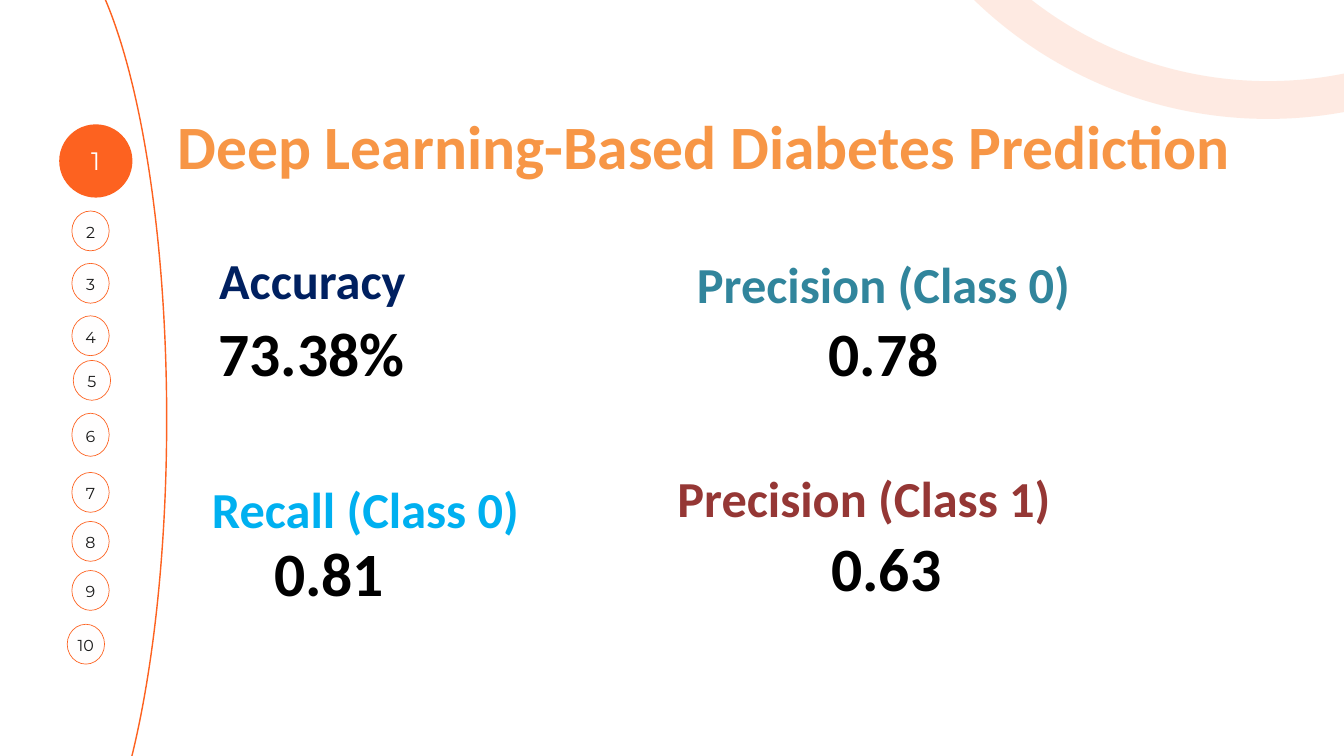
from dataclasses import dataclass

from lxml.etree import SubElement
from pptx import Presentation
from pptx.dml.color import RGBColor as RGB
from pptx.enum.shapes import MSO_SHAPE as SHAPE
from pptx.enum.text import MSO_ANCHOR as ANCHOR, MSO_AUTO_SIZE as AUTO, PP_ALIGN as ALIGN
from pptx.oxml import parse_xml
from pptx.oxml.ns import nsdecls, qn
from pptx.util import Pt


@dataclass(frozen=True)
class Theme:
    accent: str = "FD6220"
    paper: str = "FFFEFE"
    ink: str = "191919"
    title: str = "F79646"
    value: str = "000000"
    value_edge: str = "FFFFFF"
    accuracy: str = "002060"
    recall_0: str = "00B0F0"
    precision_0: str = "31859C"
    precision_1: str = "953735"
    heading_font: str = "Calibri"
    number_font: str = "Montserrat"
    title_size: float = 66
    label_size: float = 54
    value_size: float = 66
    number_size: float = 17
    current_size: float = 27


def write(tf, text, *, font, size, color, bold=False, align=ALIGN.CENTER,
          spacing=None, edge=None):
    """Fill a text frame with one formatted line; edge is the glyph outline colour."""
    p = tf.paragraphs[0]
    p.alignment = align
    if spacing:
        p.line_spacing = Pt(spacing)
    r = p.add_run()
    r.text = text
    r.font.name, r.font.size, r.font.bold = font, Pt(size), bold
    r.font.color.rgb = RGB.from_string(color)
    if edge:
        r.font._element.insert(0, parse_xml(
            f'<a:ln {nsdecls("a")} w="{Pt(0.75)}"><a:solidFill>'
            f'<a:srgbClr val="{edge}"/></a:solidFill></a:ln>'))


class Deck:
    def __init__(self, slide, theme):
        self.s = slide
        self.t = theme

    def oval(self, x, y, w, h, fill=None, line=None):
        """Draw an ellipse; line is its outline width."""
        sp = self.s.shapes.add_shape(SHAPE.OVAL, Pt(x), Pt(y), Pt(w), Pt(h))
        sp.shadow.inherit = False
        if fill:
            sp.fill.solid()
            sp.fill.fore_color.rgb = RGB.from_string(fill)
        else:
            sp.fill.background()
        if line:
            sp.line.width = Pt(line)
            sp.line.color.rgb = RGB.from_string(self.t.accent)
        else:
            sp.line.fill.background()
        return sp

    def pale_ring(self, x, y, size, line, opacity):
        sp = self.oval(x, y, size, size, line=line)
        color = sp.line._ln.find(".//" + qn("a:srgbClr"))
        SubElement(color, qn("a:alpha"), val=str(opacity * 1000))

    def number(self, n, x, y, w, h, current=False):
        t = self.t
        if current:
            sp = self.oval(x, y, w, h, fill=t.accent)
            size, color = t.current_size, t.paper
        else:
            sp = self.oval(x, y, w, h, fill=t.paper, line=0.75)
            size, color = t.number_size, t.ink
        tf = sp.text_frame
        tf.margin_left = tf.margin_right = tf.margin_top = 0
        tf.margin_bottom = Pt(6 if current else 1)
        tf.word_wrap = False
        tf.vertical_anchor = ANCHOR.MIDDLE
        write(tf, str(n), font=t.number_font, size=size, color=color,
              spacing=size * 1.4)

    def text(self, text, x, y, w, h, *, wrap=True, **style):
        tf = self.s.shapes.add_textbox(Pt(x), Pt(y), Pt(w), Pt(h)).text_frame
        tf.word_wrap = wrap
        tf.auto_size = AUTO.SHAPE_TO_FIT_TEXT
        write(tf, text, font=self.t.heading_font, bold=True, **style)

    def title(self, text, x, y, w, h):
        self.text(text, x, y, w, h, size=self.t.title_size, color=self.t.title,
                  align=ALIGN.LEFT, spacing=152.7)

    def label(self, text, x, y, color):
        self.text(text, x, y, 417.6, 72.7, size=self.t.label_size, color=color)

    def value(self, text, x, y, w):
        self.text(text, x, y, w, 87.1, wrap=False, size=self.t.value_size,
                  color=self.t.value, edge=self.t.value_edge)


def main():
    prs = Presentation()
    prs.slide_width, prs.slide_height = Pt(1440), Pt(810)
    theme = Theme()
    deck = Deck(prs.slides.add_slide(prs.slide_layouts[6]), theme)

    deck.oval(-97.2, -78.5, 275.8, 1055.5, line=1.5)
    deck.pale_ring(925.9, -758.2, 865.4, line=40.5, opacity=12)
    deck.title("Deep Learning-Based Diabetes Prediction", 182.9, 38.9, 1211.8, 241.9)

    metrics = [  # label, left, top, colour, value, left, top, width
        ("Accuracy", 126, 263.5, theme.accuracy, "73.38%", 226.1, 334.1, 216),
        ("Precision (Class 0)", 738, 267.8, theme.precision_0, "0.78", 879.8, 334.1, 133.9),
        ("Recall (Class 0)", 182.9, 508.3, theme.recall_0, "0.81", 285.8, 569.5, 133.9),
        ("Precision (Class 1)", 717.1, 496.8, theme.precision_1, "0.63", 882.7, 563.8, 133.9),
    ]
    for label, x, y, color, value, value_x, value_y, value_w in metrics:
        deck.label(label, x, y, color)
        deck.value(value, value_x, value_y, value_w)

    deck.number(1, 63.4, 133.2, 78.5, 78.5, current=True)
    tops = [226.1, 282.2, 338.4, 386.2, 442.8, 506.2, 558.7, 611.3, 668.9]
    lefts, heights = {5: 78.5, 10: 72}, {6: 46.1}
    for n, y in enumerate(tops, start=2):
        deck.number(n, lefts.get(n, 77), y, 40, heights.get(n, 42.7))

    prs.save("out.pptx")


if __name__ == "__main__":
    main()
